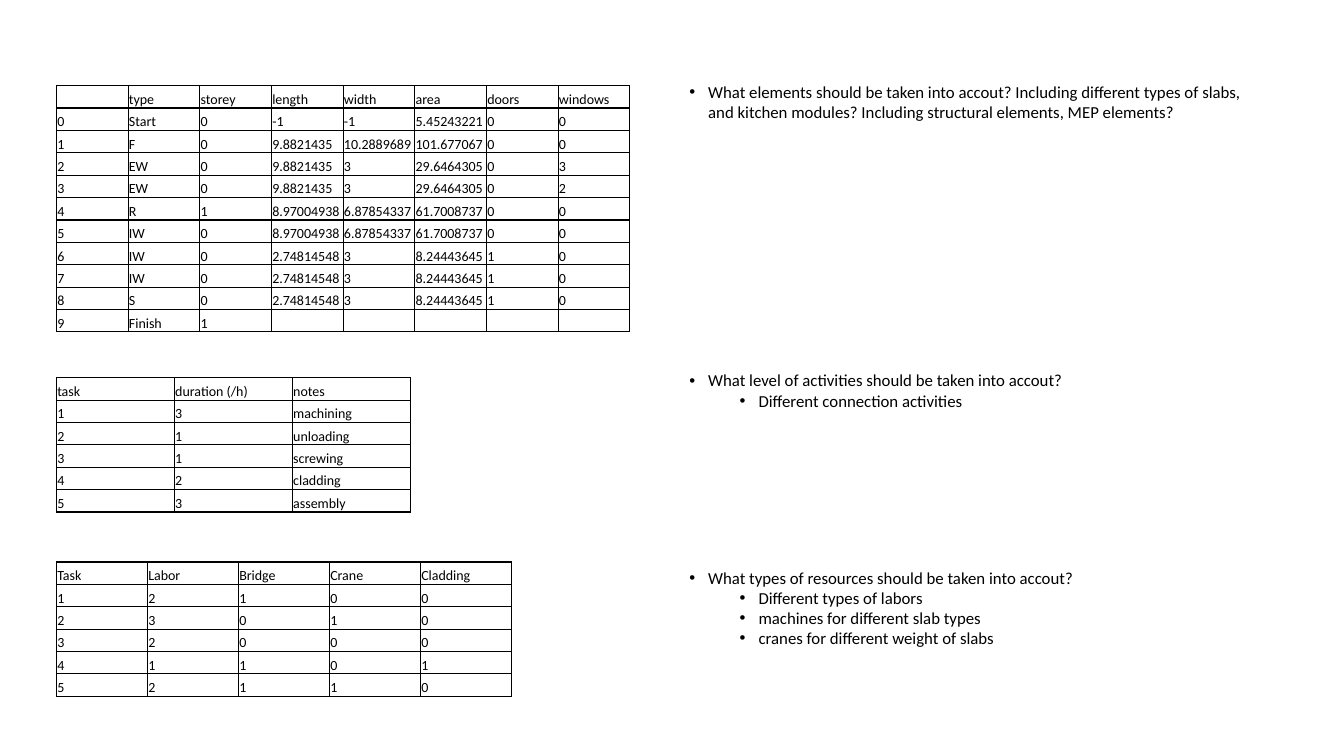
import pptx
import pptx.util
import pptx.dml.color
import pptx.enum.text
import pptx.oxml
import pptx.oxml.ns
from lxml import etree

Pt = pptx.util.Pt
qn = pptx.oxml.ns.qn
INK = {"text": "000000", "line": "000000"}

# Table contents
PARTS = [
    ["", "type", "storey", "length", "width", "area", "doors", "windows"],
    ["0", "Start", "0", "-1", "-1", "5.45243221", "0", "0"],
    ["1", "F", "0", "9.8821435", "10.2889689", "101.677067", "0", "0"],
    ["2", "EW", "0", "9.8821435", "3", "29.6464305", "0", "3"],
    ["3", "EW", "0", "9.8821435", "3", "29.6464305", "0", "2"],
    ["4", "R", "1", "8.97004938", "6.87854337", "61.7008737", "0", "0"],
    ["5", "IW", "0", "8.97004938", "6.87854337", "61.7008737", "0", "0"],
    ["6", "IW", "0", "2.74814548", "3", "8.24443645", "1", "0"],
    ["7", "IW", "0", "2.74814548", "3", "8.24443645", "1", "0"],
    ["8", "S", "0", "2.74814548", "3", "8.24443645", "1", "0"],
    ["9", "Finish", "1", "", "", "", "", ""],
]
TASKS = [
    ["task", "duration (/h)", "notes"],
    ["1", "3", "machining"],
    ["2", "1", "unloading"],
    ["3", "1", "screwing"],
    ["4", "2", "cladding"],
    ["5", "3", "assembly"],
]
CREWS = [
    ["Task", "Labor", "Bridge", "Crane", "Cladding"],
    ["1", "2", "1", "0", "0"],
    ["2", "3", "0", "1", "0"],
    ["3", "2", "0", "0", "0"],
    ["4", "1", "1", "0", "1"],
    ["5", "2", "1", "1", "0"],
]


def write(para, text, size=12, font="Calibri", color=INK["text"]):
    """Put formatted text in a paragraph; an empty one keeps its size."""
    if not text:
        etree.SubElement(para._p, qn("a:endParaRPr"), sz=str(size * 100))
        return
    run = para.add_run()
    run.text = text
    run.font.size = Pt(size)
    run.font.name = font
    run.font.color.rgb = pptx.dml.color.RGBColor.from_string(color)


class Board:
    left = 40.3
    right = 485.3
    row = 16
    hang = 13.5
    step = 36

    def __init__(self, slide):
        self.slide = slide

    def border(self, cell):
        props = cell._tc.get_or_add_tcPr()
        for side in ("lnL", "lnR", "lnT", "lnB"):
            line = etree.SubElement(props, qn("a:" + side), w=str(Pt(1)))
            fill = etree.SubElement(line, qn("a:solidFill"))
            etree.SubElement(fill, qn("a:srgbClr"), val=INK["line"])

    def table(self, rows, top, width):
        count = len(rows[0])
        frame = self.slide.shapes.add_table(
            len(rows), count, Pt(self.left), Pt(top),
            Pt(width), Pt(self.row * len(rows)))
        grid = frame.table
        grid.first_row = grid.horz_banding = False
        for col in grid.columns:
            col.width = Pt(width / count)
        for y, row in enumerate(rows):
            grid.rows[y].height = Pt(self.row)
            for x, text in enumerate(row):
                cell = grid.cell(y, x)
                self.border(cell)
                cell.fill.background()
                cell.margin_left = cell.margin_right = Pt(0.6)
                cell.margin_top, cell.margin_bottom = Pt(0.6), 0
                cell.vertical_anchor = pptx.enum.text.MSO_ANCHOR.BOTTOM
                write(cell.text_frame.paragraphs[0], text, size=10)

    def notes(self, items, top, width, height):
        """Bulleted box; the first item leads, the others sit one level in."""
        box = self.slide.shapes.add_textbox(
            Pt(self.right), Pt(top), Pt(width), Pt(height))
        frame = box.text_frame
        frame.word_wrap = True
        frame.auto_size = pptx.enum.text.MSO_AUTO_SIZE.SHAPE_TO_FIT_TEXT
        for i, text in enumerate(items):
            para = frame.add_paragraph() if i else frame.paragraphs[0]
            para.level = min(i, 1)
            props = para._p.get_or_add_pPr()
            props.set("marL", str(Pt(self.hang + self.step * para.level)))
            props.set("indent", str(-Pt(self.hang)))
            etree.SubElement(props, qn("a:buFont"), typeface="Arial")
            etree.SubElement(props, qn("a:buChar"), char="•")
            write(para, text)


def main():
    deck = pptx.Presentation()
    deck.slide_width, deck.slide_height = Pt(960), Pt(540)
    board = Board(deck.slides.add_slide(deck.slide_layouts[6]))

    # Building elements
    board.table(PARTS, 61.2, 409.6)
    board.notes([
        "What elements should be taken into accout? Including different types "
        "of slabs, and kitchen modules? Including structural elements, "
        "MEP elements?"], 54.8, 409.6, 36.4)

    # Activities
    board.table(TASKS, 269.8, 252.9)
    board.notes([
        "What level of activities should be taken into accout?",
        "Different connection activities"], 260.9, 297.4, 36.4)

    # Resources
    board.table(CREWS, 401.4, 325)
    board.notes([
        "What types of resources should be taken into accout?",
        "Different types of labors",
        "machines for different slab types",
        "cranes for different weight of slabs"], 401.6, 297.4, 65.4)

    deck.save("out.pptx")


if __name__ == "__main__":
    main()
